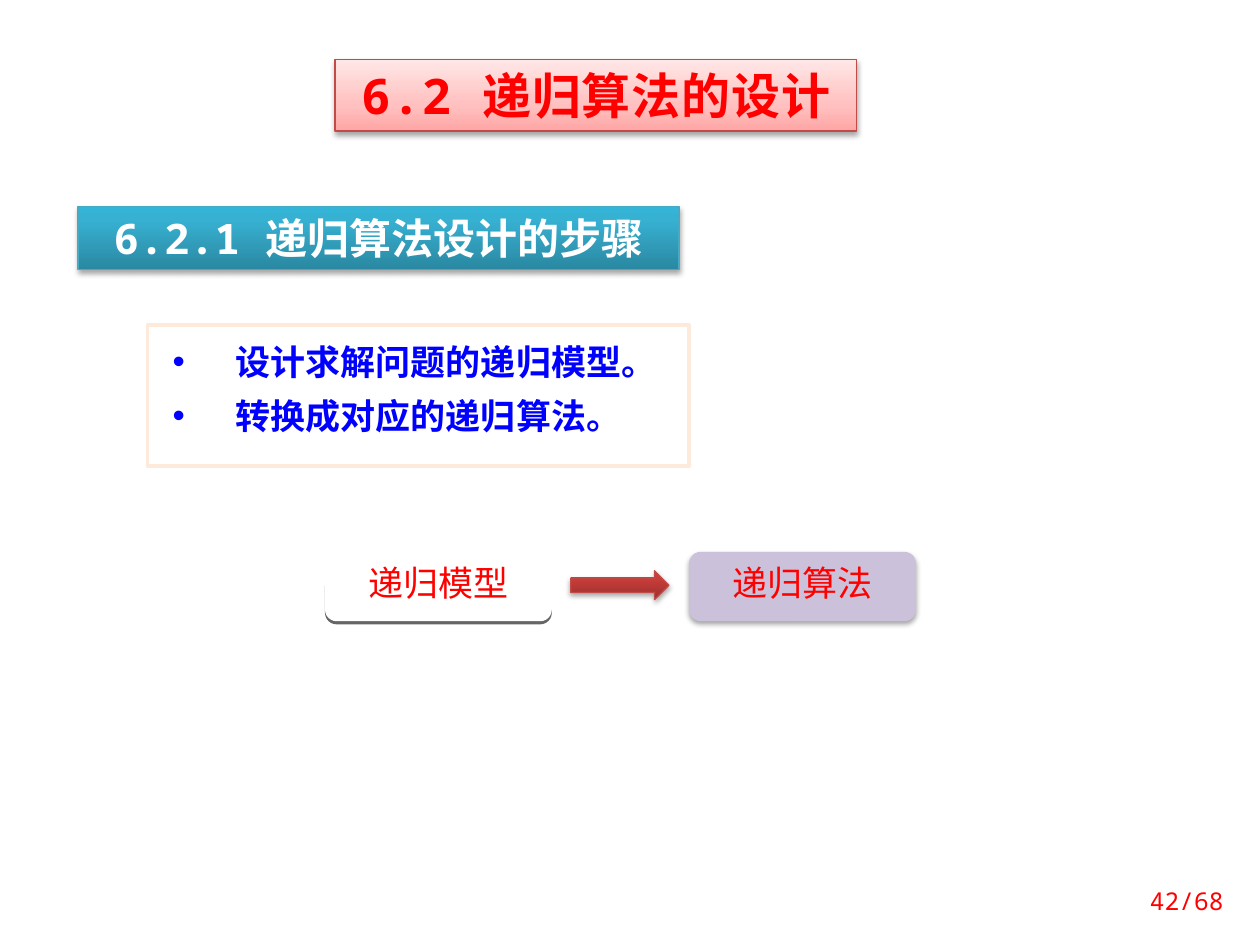
from dataclasses import dataclass

from lxml.etree import SubElement
from pptx import Presentation
from pptx.dml.color import RGBColor
from pptx.enum.shapes import MSO_SHAPE
from pptx.enum.text import MSO_ANCHOR, PP_ALIGN
from pptx.oxml import parse_xml
from pptx.oxml.ns import nsdecls, qn
from pptx.util import Inches, Pt


@dataclass(frozen=True)
class Theme:
    mono: str = "Noto Sans Mono"
    body: str = "Calibri"
    red: str = "FF0000"
    white: str = "FFFFFF"
    blue: str = "0000FF"
    peach: str = "FDEADA"
    lavender: str = "CCC1DA"
    brick: str = "BF4C48"
    teal: str = "46AAC5"
    pink_stops: tuple = ((0, "FFA6A5"), (35, "FFC0BF"), (100, "FFE7E7"))
    teal_stops: tuple = ((0, "2A88A2"), (80, "37B1D2"), (100, "34B4D6"))
    brick_stops: tuple = ((0, "9C2F2D"), (80, "CB3E3A"), (100, "CE3B37"))
    title_size: int = 28
    section_size: int = 24
    body_size: int = 20
    number_size: int = 14


THEME = Theme()


def add_box(slide, kind, bounds, fill, line=None, line_width=0.75):
    shape = slide.shapes.add_shape(kind, *map(Inches, bounds))
    shape.shadow.inherit = False
    if isinstance(fill, str):
        shape.fill.solid()
        shape.fill.fore_color.rgb = RGBColor.from_string(fill)
    else:
        set_gradient(shape, fill)
    if line:
        shape.line.color.rgb = RGBColor.from_string(line)
        shape.line.width = Pt(line_width)
    else:
        shape.line.fill.background()
    return shape


def set_gradient(shape, stops):
    shape.fill.gradient()
    gradient = shape._element.spPr.find(qn("a:gradFill"))
    stop_list = "".join(
        f'<a:gs pos="{position * 1000}"><a:srgbClr val="{color}"/></a:gs>'
        for position, color in stops
    )
    gradient.getparent().replace(gradient, parse_xml(
        f'<a:gradFill {nsdecls("a")} rotWithShape="1"><a:gsLst>{stop_list}</a:gsLst>'
        '<a:lin ang="16200000" scaled="0"/></a:gradFill>'
    ))


def add_shadow(shape, opacity=35, blur=3.1, distance=1.8):
    effects = shape._element.spPr.find(qn("a:effectLst"))
    shadow = SubElement(
        effects, qn("a:outerShdw"), blurRad=str(Pt(blur)), dist=str(Pt(distance)),
        dir="5400000", rotWithShape="0",
    )
    color = SubElement(shadow, qn("a:srgbClr"), val="000000")
    SubElement(color, qn("a:alpha"), val=str(opacity * 1000))


def set_text(shape, text, size, color, font=THEME.mono, bold=False,
             align=PP_ALIGN.CENTER, anchor=MSO_ANCHOR.MIDDLE):
    frame = shape.text_frame
    frame.word_wrap = True
    frame.vertical_anchor = anchor
    frame.text = text
    for paragraph in frame.paragraphs:
        paragraph.alignment = align
        for run in paragraph.runs:
            run.font.name = font
            run.font.size = Pt(size)
            run.font.bold = bold
            run.font.color.rgb = RGBColor.from_string(color)
    return frame


def add_heading(slide, bounds, text, size, color, stops, line):
    heading = add_box(slide, MSO_SHAPE.RECTANGLE, bounds, stops, line)
    add_shadow(heading)
    return set_text(heading, text, size, color, bold=True)


def add_bullet_box(slide, bounds, items):
    box = add_box(slide, MSO_SHAPE.RECTANGLE, bounds, THEME.white, THEME.peach, 2)
    frame = set_text(box, "\n".join(items), THEME.body_size, THEME.blue, bold=True,
                     align=PP_ALIGN.LEFT, anchor=MSO_ANCHOR.TOP)
    frame.margin_left, frame.margin_right = Inches(0.2), Inches(0.1)
    frame.margin_top, frame.margin_bottom = Inches(0.12), Inches(0.16)
    for index, paragraph in enumerate(frame.paragraphs):
        properties = paragraph._p.get_or_add_pPr()
        properties.set("marL", str(Inches(0.5)))
        properties.set("indent", str(Inches(-0.5)))
        SubElement(properties, qn("a:buFont"), typeface="Arial")
        SubElement(properties, qn("a:buChar"), char="•")
        if index:
            paragraph.space_before = Pt(7)


def add_step(slide, left, text, fill, **shadow):
    step = add_box(slide, MSO_SHAPE.ROUNDED_RECTANGLE, (left, 4.38, 1.8, 0.55), fill)
    add_shadow(step, **shadow)
    frame = set_text(step, text, THEME.body_size, THEME.red, THEME.body)
    frame.paragraphs[0].line_spacing = 0.8


def add_arrow(slide, bounds):
    arrow = add_box(slide, MSO_SHAPE.RIGHT_ARROW, bounds, THEME.brick_stops, THEME.brick)
    add_shadow(arrow)


def add_page_number(slide, bounds, text):
    number = slide.shapes.add_textbox(*map(Inches, bounds))
    set_text(number, text, THEME.number_size, THEME.red, align=PP_ALIGN.RIGHT)


def main():
    presentation = Presentation()
    presentation.slide_width, presentation.slide_height = Inches(10), Inches(7.5)
    slide = presentation.slides.add_slide(presentation.slide_layouts[6])

    title = add_heading(slide, (2.66, 0.47, 4.14, 0.57), "6.2 递归算法的设计",
                        THEME.title_size, THEME.red, THEME.pink_stops, THEME.brick)
    title.paragraphs[0].runs[0].font._element.set("spc", "50")
    add_heading(slide, (0.62, 1.64, 4.77, 0.5), "6.2.1 递归算法设计的步骤",
                THEME.section_size, THEME.white, THEME.teal_stops, THEME.teal)
    add_bullet_box(slide, (1.17, 2.58, 4.3, 1.12),
                   ["设计求解问题的递归模型。", "转换成对应的递归算法。"])
    add_step(slide, 2.58, "递归模型", THEME.white, opacity=60, blur=0)
    add_arrow(slide, (4.53, 4.53, 0.78, 0.23))
    add_step(slide, 5.47, "递归算法", THEME.lavender)
    add_page_number(slide, (8.83, 6.95, 0.98, 0.4), "42/68")

    presentation.save("out.pptx")


if __name__ == "__main__":
    main()
